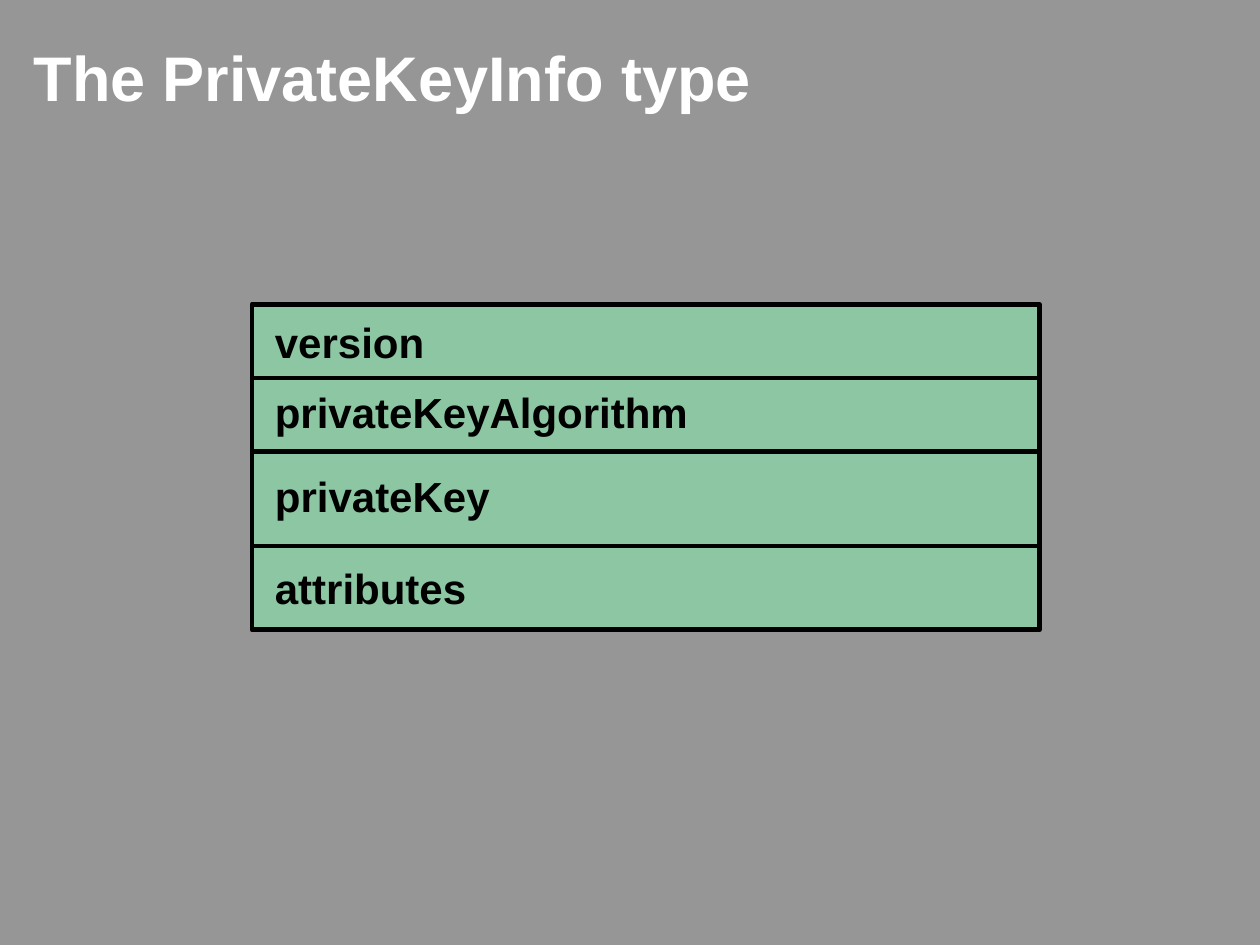
from pptx import Presentation
from pptx.dml.color import RGBColor
from pptx.enum.shapes import MSO_CONNECTOR, MSO_SHAPE
from pptx.enum.text import MSO_ANCHOR, PP_ALIGN
from pptx.oxml.ns import qn
from pptx.util import Inches, Pt
from lxml.etree import SubElement

COLOURS = {"background": "969696", "title": "FFFFFF", "field": "8CC6A2", "ink": "000000"}
UNIT = Inches(10) // 120
LEFT, RIGHT = 24 * UNIT, 99 * UNIT
ROW_EDGES = [29, 36, 43, 52, 60]
FIELDS = [
    ("version", 29.5, 36),
    ("privateKeyAlgorithm", 36.25, 65),
    ("privateKey", 44.25, 44),
    ("attributes", 53, 44),
]


def style_text(frame, text, size, colour):
    frame.text = text
    frame.word_wrap = True
    frame.vertical_anchor = MSO_ANCHOR.MIDDLE
    paragraph = frame.paragraphs[0]
    paragraph.alignment = PP_ALIGN.LEFT
    paragraph.space_before = Pt(0)
    paragraph.font.name = "Arial"
    paragraph.font.size = Pt(size)
    paragraph.font.bold = True
    paragraph.font.color.rgb = RGBColor.from_string(COLOURS[colour])


def style_line(line):
    line.color.rgb = RGBColor.from_string(COLOURS["ink"])
    line.width = Pt(2.75)


deck = Presentation()
deck.slide_width, deck.slide_height = 120 * UNIT, 90 * UNIT
page = deck.slides.add_slide(deck.slide_layouts[5])
page.background.fill.solid()
page.background.fill.fore_color.rgb = RGBColor.from_string(COLOURS["background"])

title = page.shapes.title
title.left, title.top, title.width, title.height = 2 * UNIT, int(2.4 * UNIT), 99 * UNIT, 9 * UNIT
style_text(title.text_frame, "The PrivateKeyInfo type", 36, "title")
title.text_frame.paragraphs[0].line_spacing = 1.1

structure = page.shapes.add_group_shape()
top, bottom = ROW_EDGES[0] * UNIT, ROW_EDGES[-1] * UNIT
frame = structure.shapes.add_shape(MSO_SHAPE.RECTANGLE, LEFT, top, RIGHT - LEFT, bottom - top)
frame.shadow.inherit = False
frame.fill.solid()
frame.fill.fore_color.rgb = RGBColor.from_string(COLOURS["field"])
style_line(frame.line)

for edge in ROW_EDGES[1:-1]:
    divider = structure.shapes.add_connector(
        MSO_CONNECTOR.STRAIGHT, LEFT, edge * UNIT, RIGHT, edge * UNIT
    )
    style_line(divider.line)
    SubElement(divider._element.spPr, qn("a:effectLst"))

for name, row, columns in FIELDS:
    label = structure.shapes.add_textbox(
        LEFT + UNIT, int(row * UNIT), columns * UNIT, 6 * UNIT
    )
    style_text(label.text_frame, name, 24, "ink")

deck.save("out.pptx")
